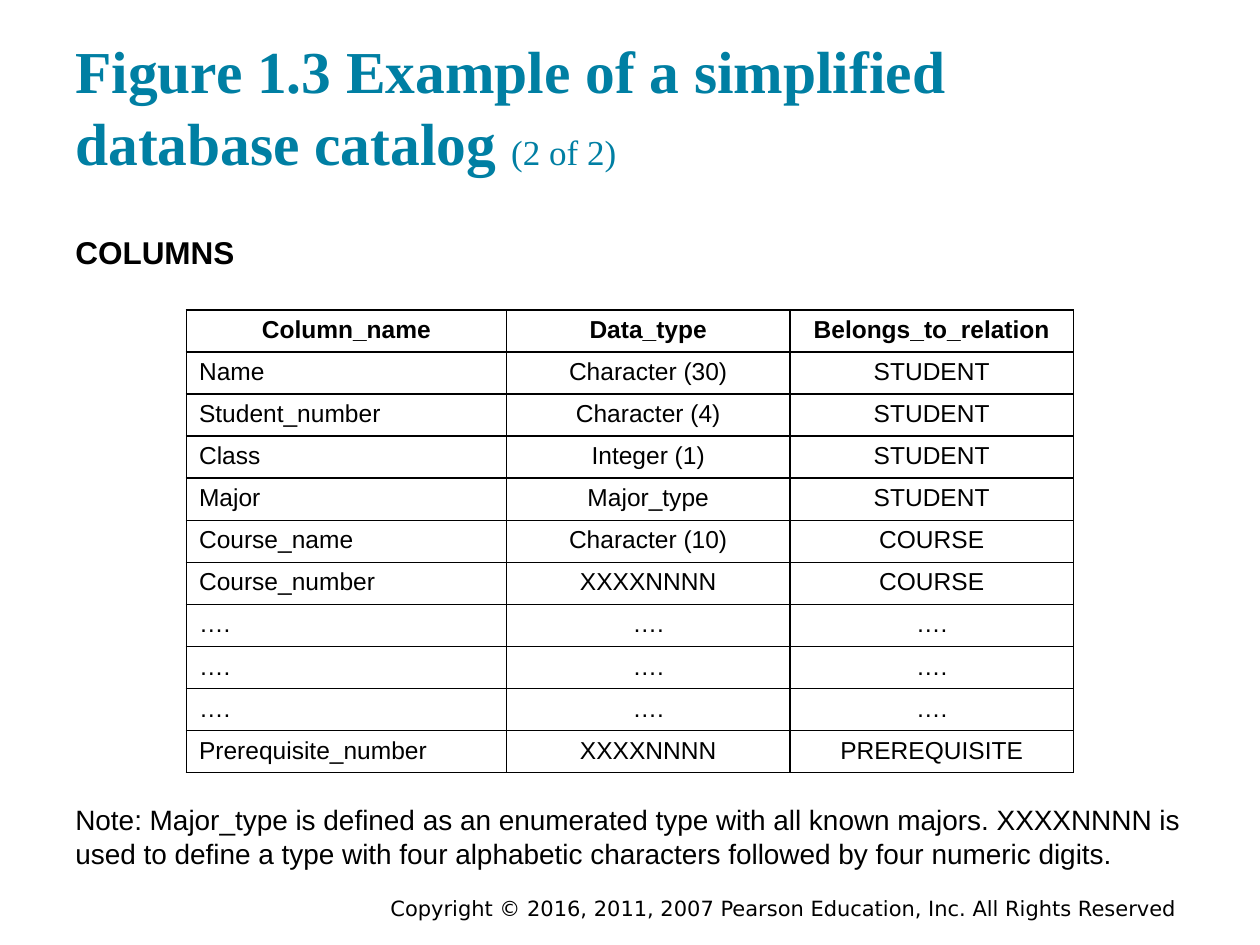
import pptx
import pptx.util
import pptx.dml.color
import pptx.enum.text
from lxml import etree
from pptx.util import Inches

COLORS = {"title": "007FA3", "text": "000000", "border": "000000"}
ALIGN = pptx.enum.text.PP_ALIGN
ANCHOR = pptx.enum.text.MSO_ANCHOR

# Content: runs are (text, size, bold)
TITLE = [("Figure 1.3 Example of a simplified database catalog ", 34, True),
         ("(2 of 2)", 20, False)]
HEADING = [("COLUMNS", 18, True)]
NOTE = [("Note: Major_type is defined as an enumerated type with all known majors. "
         "XXXXNNNN is used to define a type with four alphabetic characters "
         "followed by four numeric digits.", 16, False)]
COPYRIGHT = [("Copyright © 2016, 2011, 2007 Pearson Education, Inc. "
              "All Rights Reserved", 12, False)]

CATALOG = [
    ("Column_name", "Data_type", "Belongs_to_relation"),
    ("Name", "Character (30)", "STUDENT"),
    ("Student_number", "Character (4)", "STUDENT"),
    ("Class", "Integer (1)", "STUDENT"),
    ("Major", "Major_type", "STUDENT"),
    ("Course_name", "Character (10)", "COURSE"),
    ("Course_number", "XXXXNNNN", "COURSE"),
    *[("….", "….", "….")] * 3,
    ("Prerequisite_number", "XXXXNNNN", "PREREQUISITE"),
]
COLUMN_WIDTHS = (2.54, 2.25, 2.25)
ROW_HEIGHT = 0.28


def add_runs(paragraph, runs, font="Arial", color="text"):
    for text, size, bold in runs:
        run = paragraph.add_run()
        run.text = text
        run.font.name = font
        run.font.size = pptx.util.Pt(size)
        run.font.bold = bold
        run.font.color.rgb = pptx.dml.color.RGBColor.from_string(COLORS[color])


def add_text(slide, box, runs, anchor=ANCHOR.TOP, inset=0.1, **style):
    frame = slide.shapes.add_textbox(*map(Inches, box)).text_frame
    frame.word_wrap = True
    frame.vertical_anchor = anchor
    frame.margin_left = frame.margin_right = Inches(0.1)
    frame.margin_top = frame.margin_bottom = Inches(inset)
    add_runs(frame.paragraphs[0], runs, **style)


def set_borders(cell):
    properties = cell._tc.get_or_add_tcPr()
    for position, side in enumerate(("lnL", "lnR", "lnT", "lnB")):
        line = etree.Element(pptx.oxml.ns.qn(f"a:{side}"), w=str(pptx.util.Pt(1)))
        fill = etree.SubElement(line, pptx.oxml.ns.qn("a:solidFill"))
        etree.SubElement(fill, pptx.oxml.ns.qn("a:srgbClr"), val=COLORS["border"])
        properties.insert(position, line)


def add_catalog(slide):
    table = slide.shapes.add_table(
        len(CATALOG), len(COLUMN_WIDTHS), Inches(1.48), Inches(2.46),
        Inches(sum(COLUMN_WIDTHS)), Inches(ROW_HEIGHT * len(CATALOG))).table
    table.horz_banding = False
    for column, width in zip(table.columns, COLUMN_WIDTHS):
        column.width = Inches(width)
    for r, entry in enumerate(CATALOG):
        table.rows[r].height = Inches(ROW_HEIGHT)
        for c, text in enumerate(entry):
            cell = table.cell(r, c)
            cell.fill.background()
            set_borders(cell)
            paragraph = cell.text_frame.paragraphs[0]
            paragraph.alignment = ALIGN.LEFT if r and c == 0 else ALIGN.CENTER
            add_runs(paragraph, [(text, 14, r == 0)])


def main():
    deck = pptx.Presentation()
    deck.slide_width, deck.slide_height = Inches(10), Inches(7.5)
    slide = deck.slides.add_slide(deck.slide_layouts[6])

    # Footer, title and heading
    add_text(slide, (3, 7.08, 6.65, 0.25), COPYRIGHT, ANCHOR.MIDDLE, 0.05,
             font="DejaVu Sans")
    add_text(slide, (0.5, 0.24, 9, 1.2), TITLE, ANCHOR.MIDDLE,
             font="Times New Roman", color="title")
    add_text(slide, (0.5, 1.75, 1.47, 0.38), HEADING)

    # Catalog table and its note
    add_catalog(slide)
    add_text(slide, (0.5, 6.27, 9, 0.69), NOTE)

    deck.save("out.pptx")


if __name__ == "__main__":
    main()
